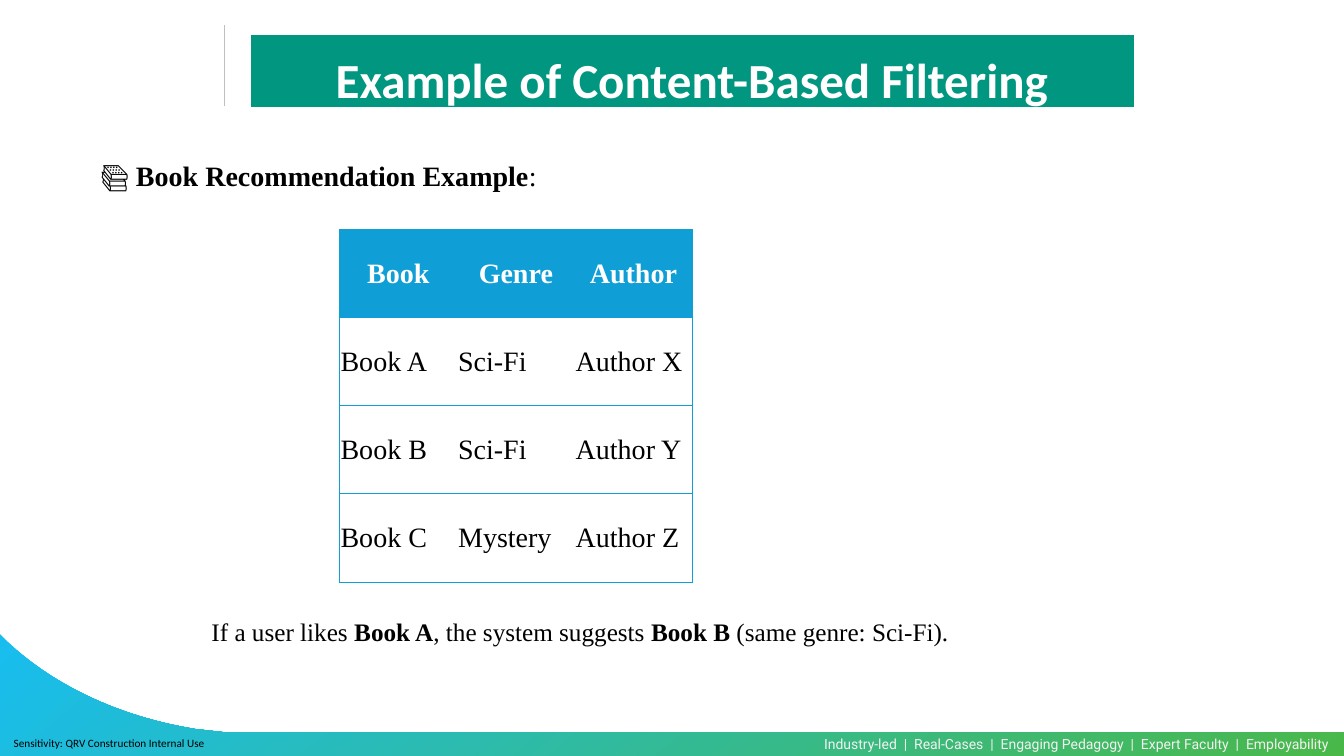
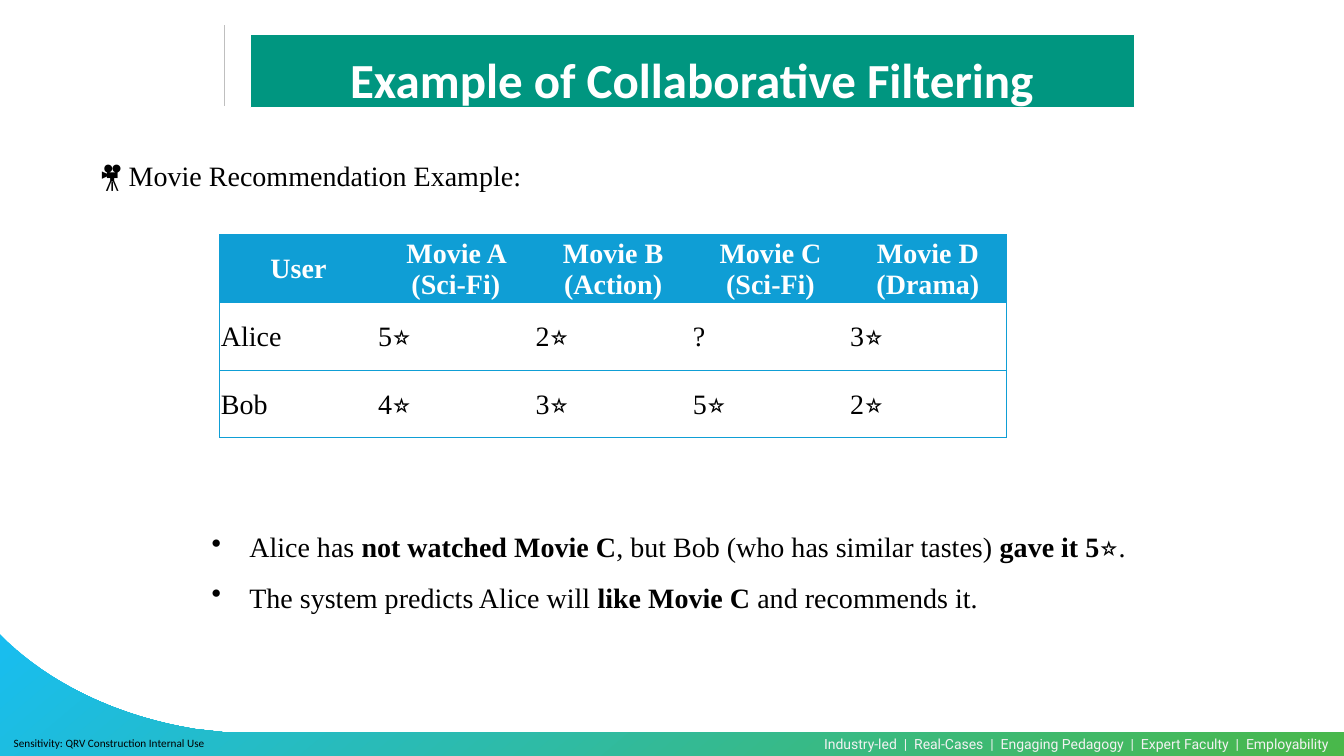
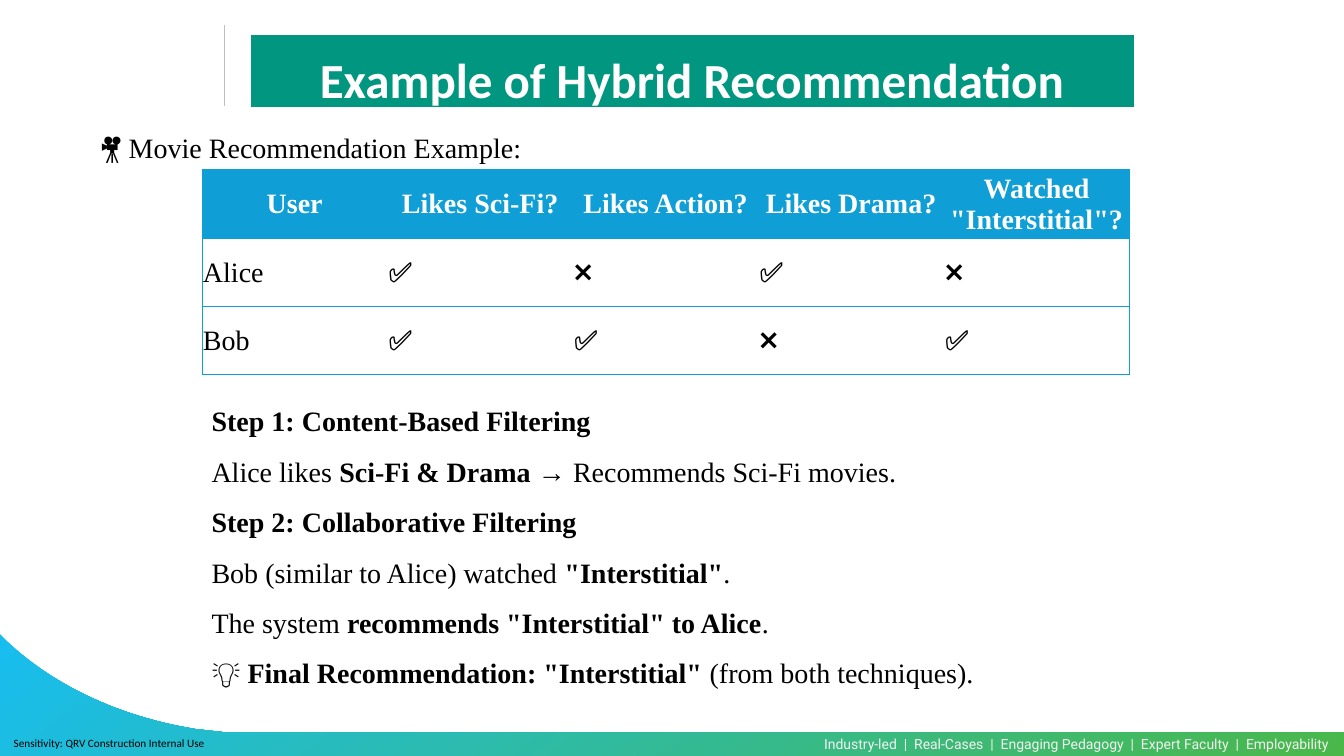
from dataclasses import dataclass

import pptx
import pptx.dml.color
import pptx.enum.shapes
import pptx.enum.text
import pptx.oxml
import pptx.oxml.ns
import pptx.util
from lxml import etree

Pt = pptx.util.Pt
qn = pptx.oxml.ns.qn
Align = pptx.enum.text.PP_ALIGN
Anchor = pptx.enum.text.MSO_ANCHOR


@dataclass(frozen=True)
class Theme:
    serif: str = "Times New Roman"
    sans: str = "Calibri"
    footer_face: str = "Roboto"
    title_size: float = 35
    body_size: float = 20
    note_size: float = 18
    footer_size: float = 10
    label_size: float = 8
    black: str = "000000"
    white: str = "FFFFFF"
    rule: str = "BFBFBF"
    banner: str = "009680"
    table: str = "0F9ED5"
    footer_text: str = "F2F2F2"
    wave_start: str = "18BDF0"
    wave_end: str = "4AB849"


THEME = Theme()
FOOTER = "Industry-led  |  Real-Cases  |  Engaging Pedagogy  |  Expert Faculty  |  Employability"
SENSITIVITY = "Sensitivity: QRV Construction Internal Use"

SLIDES = [
    {
        "title": "Example of Content-Based Filtering",
        "heading": "📚 **Book Recommendation Example**:",
        "heading_top": 110,
        "rows": [
            ["Book", "Genre", "Author"],
            ["Book A", "Sci-Fi", "Author X"],
            ["Book B", "Sci-Fi", "Author Y"],
            ["Book C", "Mystery", "Author Z"],
        ],
        "table_at": (242.5, 163.75),
        "cell_size": (84, 63),
        "notes": ["If a user likes **Book A**, the system suggests **Book B** (same genre: Sci-Fi)."],
        "notes_box": (144, 437, 587, 29),
        "notes_style": {"size": THEME.note_size},
    },
    {
        "title": "Example of Collaborative Filtering",
        "heading": "🎥 Movie Recommendation Example:",
        "heading_top": 110,
        "rows": [
            ["User", "Movie A (Sci-Fi)", "Movie B (Action)", "Movie C (Sci-Fi)", "Movie D (Drama)"],
            ["Alice", "5⭐", "2⭐", "?", "3⭐"],
            ["Bob", "4⭐", "3⭐", "5⭐", "2⭐"],
        ],
        "table_at": (157, 167.5),
        "cell_size": (112.4, 48.2),
        "notes": [
            "Alice has **not watched Movie C**, but Bob (who has similar tastes) **gave it 5⭐**.",
            "The system predicts Alice will **like Movie C** and recommends it.",
        ],
        "notes_box": (144, 363, 699, 76),
        "notes_style": {"spacing": 1.5, "bullet": True},
    },
    {
        "title": "Example of Hybrid Recommendation",
        "heading": "🎥 Movie Recommendation Example:",
        "heading_top": 89.5,
        "rows": [
            ["User", "Likes Sci-Fi?", "Likes Action?", "Likes Drama?", 'Watched "Interstitial"?'],
            ["Alice", "✅", "❌", "✅", "❌"],
            ["Bob", "✅", "✅", "❌", "✅"],
        ],
        "table_at": (144.25, 121),
        "cell_size": (132.5, 48.9),
        "notes": [
            "**Step 1: Content-Based Filtering**",
            "Alice likes **Sci-Fi & Drama** → Recommends Sci-Fi movies.",
            "**Step 2: Collaborative Filtering**",
            'Bob (similar to Alice) watched **"Interstitial"**.',
            'The system **recommends "Interstitial" to Alice**.',
            '💡 **Final Recommendation: "Interstitial"** (from both techniques).',
        ],
        "notes_box": (144, 273, 699, 221),
        "notes_style": {"spacing": 1.5},
    },
]


def rgb(code):
    return pptx.dml.color.RGBColor.from_string(code)


def write(paragraph, text, face=THEME.serif, size=THEME.body_size, color=THEME.black,
          align=Align.LEFT, spacing=None, bullet=False):
    paragraph.font.name = face
    paragraph.font.size = Pt(size)
    paragraph.font.color.rgb = rgb(color)
    paragraph.alignment = align
    if spacing:
        paragraph.line_spacing = spacing
    for index, part in enumerate(text.split("**")):
        if part:
            run = paragraph.add_run()
            run.text = part
            run.font.bold = index % 2 == 1
    if bullet:
        properties = paragraph._p.get_or_add_pPr()
        properties.set("marL", str(Pt(27)))
        properties.set("indent", str(-Pt(27)))
        mark = pptx.oxml.parse_xml(
            '<a:buChar xmlns:a="http://schemas.openxmlformats.org/drawingml/2006/main" char="•"/>')
        properties.find(qn("a:defRPr")).addprevious(mark)


def add_text(slide, box, lines, inset=None, anchor=Anchor.TOP, **style):
    frame = slide.shapes.add_textbox(*map(Pt, box)).text_frame
    frame.word_wrap = True
    frame.vertical_anchor = anchor
    if inset is not None:
        frame.margin_left = frame.margin_right = Pt(inset)
        frame.margin_top = frame.margin_bottom = Pt(inset)
    for index, line in enumerate(lines):
        paragraph = frame.add_paragraph() if index else frame.paragraphs[0]
        write(paragraph, line, **style)


def bezier(start, first, second, end, steps=32):
    for step in range(1, steps + 1):
        t = step / steps
        weights = ((1 - t) ** 3, 3 * t * (1 - t) ** 2, 3 * t * t * (1 - t), t ** 3)
        yield tuple(sum(w * p[axis] for w, p in zip(weights, (start, first, second, end)))
                    for axis in (0, 1))


def add_wave(slide):
    curve = [(5, 458), (38, 489.5), (85.5, 512), (139.5, 520.75)]
    outline = [curve[0], *bezier(*curve), (162, 523.25), (960, 523.25), (960, 542), (0, 542)]
    builder = slide.shapes.build_freeform(0, Pt(453))
    builder.add_line_segments([(Pt(x), Pt(y)) for x, y in outline], close=True)
    wave = builder.convert_to_shape()
    wave.shadow.inherit = False
    wave.line.fill.background()
    wave.fill.gradient()
    wave.fill.gradient_angle = 310
    for stop, color in zip(wave.fill.gradient_stops, (THEME.wave_start, THEME.wave_end)):
        stop.color.rgb = rgb(color)


def add_frame(slide, title):
    rule = slide.shapes.add_connector(
        pptx.enum.shapes.MSO_CONNECTOR.STRAIGHT, Pt(160.5), Pt(18), Pt(160.5), Pt(75.5))
    rule.line.color.rgb = rgb(THEME.rule)
    rule.line.width = Pt(0.5)
    etree.SubElement(rule._element.spPr, qn("a:effectLst"))
    add_wave(slide)
    add_text(slide, (560, 522, 417.5, 20), [FOOTER], face=THEME.footer_face,
             size=THEME.footer_size, color=THEME.footer_text, align=Align.CENTER)
    add_text(slide, (0, 522, 156, 18), [SENSITIVITY], inset=0, anchor=Anchor.MIDDLE,
             face=THEME.sans, size=THEME.label_size, align=Align.CENTER)
    banner = slide.shapes.add_shape(
        pptx.enum.shapes.MSO_SHAPE.RECTANGLE, Pt(178.75), Pt(24.5), Pt(631.5), Pt(52.5))
    banner.shadow.inherit = False
    banner.fill.solid()
    banner.fill.fore_color.rgb = rgb(THEME.banner)
    banner.line.color.rgb = rgb(THEME.white)
    banner.line.width = Pt(1)
    add_text(slide, (178.75, 32.5, 631.5, 52.5), [f"**{title}**"], inset=3.6,
             anchor=Anchor.MIDDLE, face=THEME.sans, size=THEME.title_size,
             color=THEME.white, align=Align.CENTER, spacing=0.9)


def set_borders(cell, visible):
    properties = cell._tc.get_or_add_tcPr()
    for side in "LRTB":
        edge = etree.SubElement(properties, qn(f"a:ln{side}"), w=str(Pt(0.5)))
        if side in visible:
            paint = etree.SubElement(edge, qn("a:solidFill"))
            etree.SubElement(paint, qn("a:srgbClr"), val=THEME.table)
        else:
            etree.SubElement(edge, qn("a:noFill"))


def add_ratings(slide, rows, at, cell_size):
    column_count = len(rows[0])
    width, height = cell_size
    table = slide.shapes.add_table(
        len(rows), column_count, Pt(at[0]), Pt(at[1]),
        Pt(width * column_count), Pt(height * len(rows))).table
    table.first_row = table.horz_banding = False
    for column in table.columns:
        column.width = Pt(width)
    for row_index, values in enumerate(rows):
        table.rows[row_index].height = Pt(height)
        for column_index, value in enumerate(values):
            cell = table.cell(row_index, column_index)
            cell.margin_left = cell.margin_right = cell.margin_top = Pt(0.75)
            cell.margin_bottom = 0
            cell.vertical_anchor = Anchor.MIDDLE
            left = "L" if column_index == 0 else ""
            right = "R" if column_index == column_count - 1 else ""
            set_borders(cell, "TB" + left + right)
            paragraph = cell.text_frame.paragraphs[0]
            if row_index == 0:
                cell.fill.solid()
                cell.fill.fore_color.rgb = rgb(THEME.table)
                write(paragraph, f"**{value}**", color=THEME.white, align=Align.CENTER)
            else:
                cell.fill.background()
                write(paragraph, value)


def main():
    deck = pptx.Presentation()
    deck.slide_width, deck.slide_height = Pt(960), Pt(540)
    for content in SLIDES:
        slide = deck.slides.add_slide(deck.slide_layouts[6])
        add_frame(slide, content["title"])
        add_text(slide, (65, content["heading_top"], 746, 32), [content["heading"]])
        add_ratings(slide, content["rows"], content["table_at"], content["cell_size"])
        add_text(slide, content["notes_box"], content["notes"], **content["notes_style"])
    deck.save("out.pptx")


if __name__ == "__main__":
    main()
